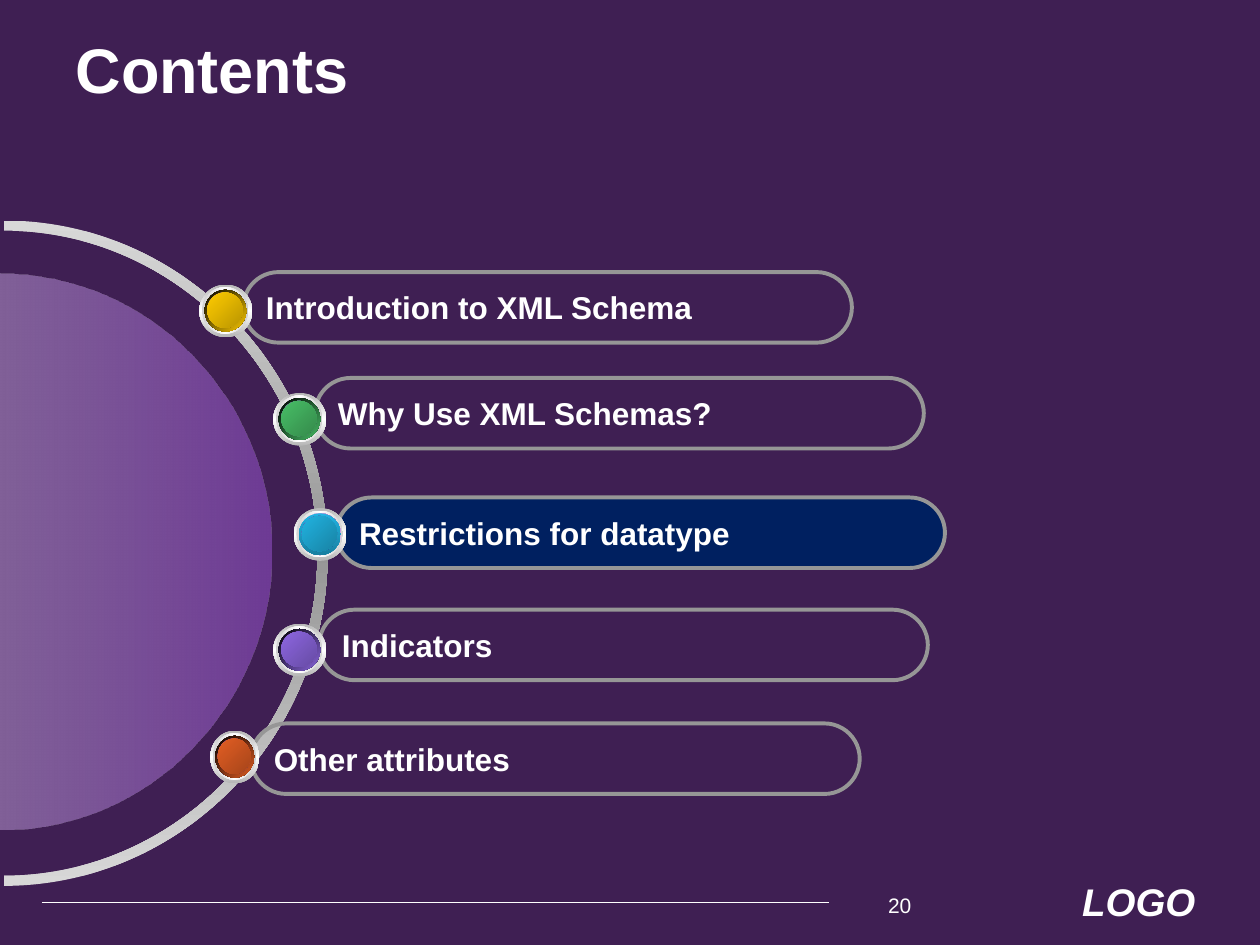
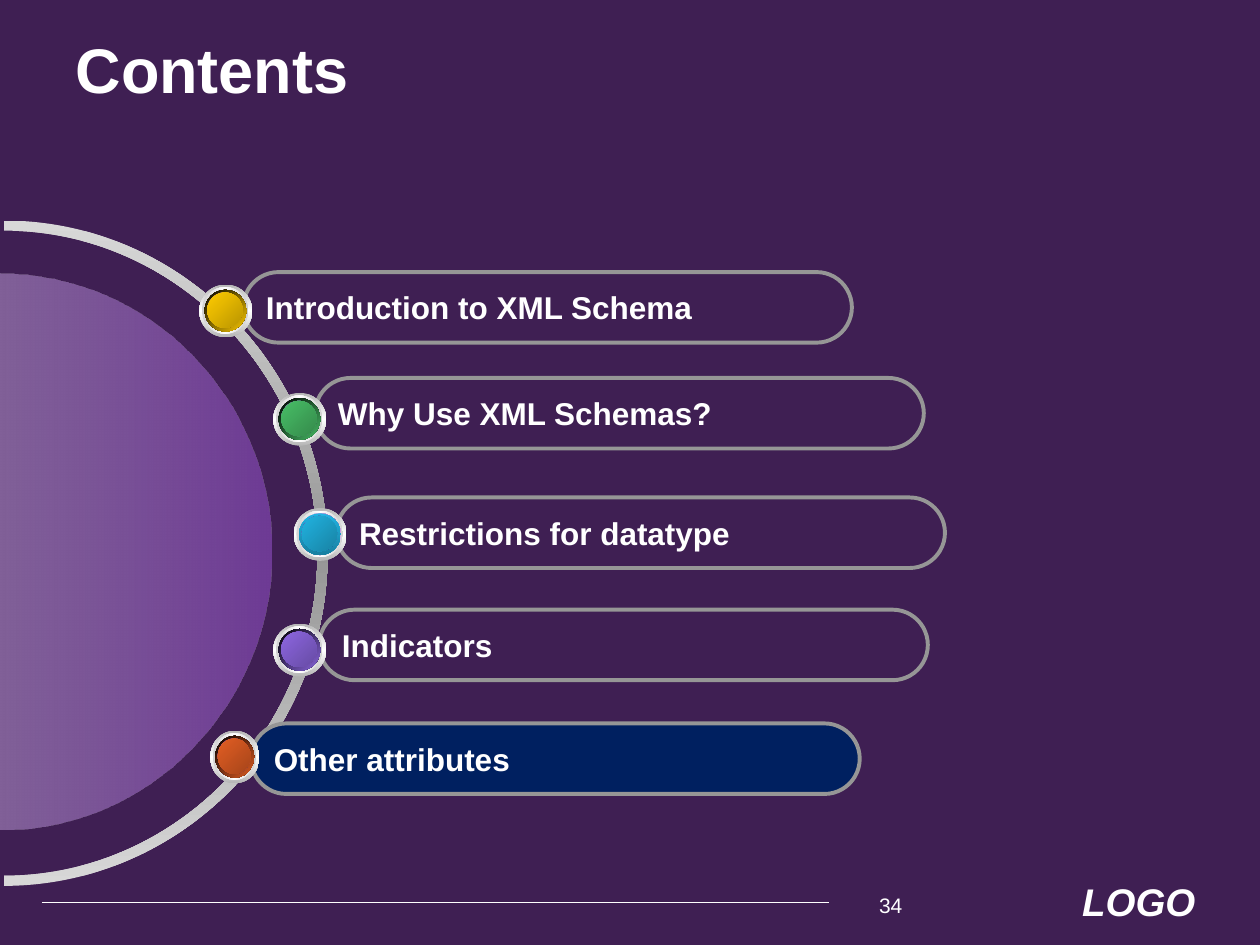
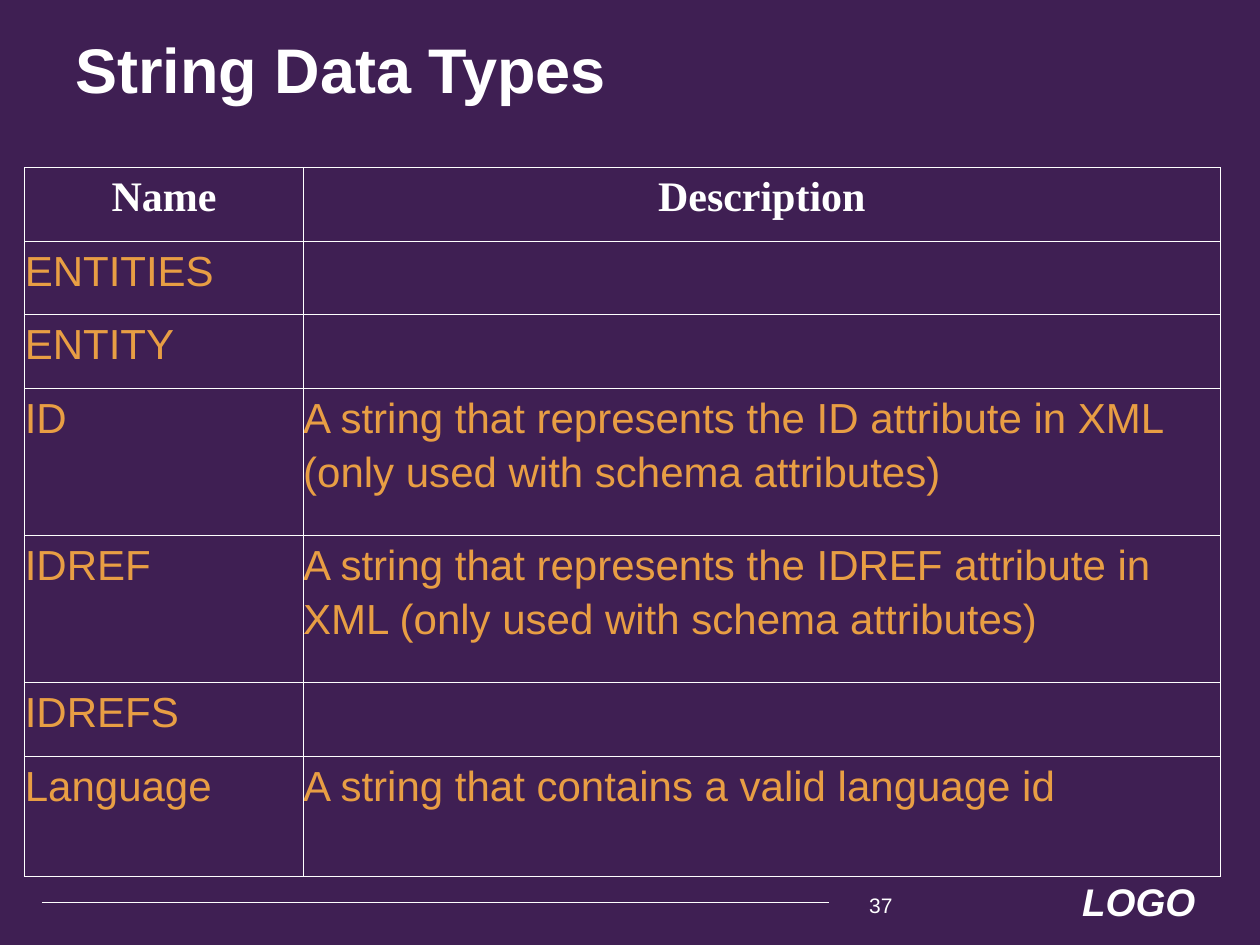
"""Build two agenda slides and a table of XML Schema string types."""
from dataclasses import dataclass
from typing import NamedTuple

from lxml import etree
from pptx import Presentation
from pptx.dml.color import RGBColor
from pptx.enum import shapes, text
from pptx.oxml import ns
from pptx.util import Pt

WHITE = RGBColor(0xFF, 0xFF, 0xFF)
BLACK = RGBColor(0x00, 0x00, 0x00)
BACKGROUND = RGBColor(0x3F, 0x1F, 0x53)
HIGHLIGHT = RGBColor(0x00, 0x20, 0x60)
GRAY = RGBColor(0x96, 0x96, 0x96)
LIGHT_GRAY = RGBColor(0xD8, 0xD8, 0xD8)
SILVER = RGBColor(0xB6, 0xB6, 0xB6)
PALE_SILVER = RGBColor(0xD1, 0xD1, 0xD1)
PURPLE = RGBColor(0x93, 0x51, 0xC9)
DARK_PURPLE = RGBColor(0x71, 0x3E, 0x9A)
ORANGE = RGBColor(0xE8, 0x9E, 0x44)
YELLOW = RGBColor(0xFF, 0xCC, 0x00)
DARK_YELLOW = RGBColor(0xBA, 0x95, 0x00)
GREEN = RGBColor(0x48, 0xBE, 0x67)
DARK_GREEN = RGBColor(0x35, 0x8B, 0x4B)
BLUE = RGBColor(0x21, 0xB3, 0xE1)
DARK_BLUE = RGBColor(0x18, 0x83, 0xA4)
RIM_BLUE = RGBColor(0x18, 0x80, 0xA1)
VIOLET = RGBColor(0x8D, 0x67, 0xE1)
DARK_VIOLET = RGBColor(0x67, 0x4B, 0xA4)
RUST = RGBColor(0xE3, 0x5E, 0x23)
DARK_RUST = RGBColor(0xA6, 0x45, 0x1A)

SANS = "Arial"
SERIF = "Times New Roman"
BAR_WIDTH, BAR_HEIGHT = 347.8, 40.3
BEAD_SIZE = 30.2
QUARTER_CURVE = 0.55


class Stop(NamedTuple):
    """One gradient stop, with position and opacity in percent."""

    position: int
    colour: RGBColor
    opacity: int = 100


class Box(NamedTuple):
    """A rectangle in points."""

    left: float
    top: float
    width: float
    height: float

    def emu(self) -> tuple:
        """Return the four lengths for python-pptx."""
        return tuple(Pt(value) for value in self)


class Segment(NamedTuple):
    """A path command and its points, in points."""

    command: str
    points: list[tuple[float, float]]


@dataclass(frozen=True)
class Topic:
    """An agenda line: its bar and the bead on the ring beside it."""

    label: str
    bar_left: float
    bar_top: float
    bead_left: float
    bead_top: float
    colour: RGBColor
    shade: RGBColor
    bead_width: float = BEAD_SIZE
    rim: tuple[RGBColor, RGBColor] | None = None


@dataclass(frozen=True)
class BeadLayer:
    """One ellipse of a bead, placed as fractions of the bead."""

    offset: float
    scale: float
    stops: list[Stop]
    angle: int


TOPICS = [
    Topic("Introduction to XML Schema", 139, 155.5, 113.9, 162.6, YELLOW, DARK_YELLOW),
    Topic("Why Use XML Schemas?", 180.1, 216, 156.2, 224.5, GREEN, DARK_GREEN),
    Topic("Restrictions for datatype", 192.2, 284.3, 167.9, 290.3, BLUE, DARK_BLUE,
          rim=(BLUE, RIM_BLUE)),
    Topic("Indicators", 182.4, 348.4, 156.2, 356.4, VIOLET, DARK_VIOLET),
    Topic("Other attributes", 143.5, 413.4, 120.2, 417.5, RUST, DARK_RUST, bead_width=28.1),
]

COLUMN_WIDTHS = [159.1, 524.2]
LINE_ROW, DOUBLE_ROW, LAST_ROW = 42.1, 84.1, 68.5
STRING_TYPES = [
    ("Name", "Description", LINE_ROW),
    ("ENTITIES", "", LINE_ROW),
    ("ENTITY", "", LINE_ROW),
    ("ID", "A string that represents the ID attribute in XML "
           "(only used with schema attributes)", DOUBLE_ROW),
    ("IDREF", "A string that represents the IDREF attribute in XML "
              "(only used with schema attributes)", DOUBLE_ROW),
    ("IDREFS", "", LINE_ROW),
    ("Language", "A string that contains a valid language id", LAST_ROW),
]


def write_text(frame, content: str, *, size: float, font: str = SANS,
               colour: RGBColor = WHITE, bold: bool = False, italic: bool = False,
               align=text.PP_ALIGN.LEFT, anchor=text.MSO_ANCHOR.TOP,
               spacing: float | None = None, wrap: bool = True) -> None:
    """Put one formatted paragraph in a text frame."""
    frame.word_wrap = wrap
    frame.vertical_anchor = anchor
    paragraph = frame.paragraphs[0]
    paragraph.alignment = align
    paragraph.line_spacing = spacing
    run = paragraph.add_run()
    run.text = content
    run.font.name = font
    run.font.size = Pt(size)
    run.font.bold = bold
    run.font.italic = italic
    run.font.color.rgb = colour


def add_text(slide, box: Box, content: str, **style) -> None:
    """Add a text box."""
    write_text(slide.shapes.add_textbox(*box.emu()).text_frame, content, **style)


def paint_gradient(shape, stops: list[Stop], angle: int) -> None:
    """Give a shape a linear gradient, turned clockwise, and no line."""
    shape.shadow.inherit = False
    shape.line.fill.background()
    shape.fill.gradient()
    shape.fill.gradient_angle = -angle % 360
    stop_list = shape._element.spPr.find(".//" + ns.qn("a:gsLst"))
    for child in list(stop_list):
        stop_list.remove(child)
    for stop in stops:
        entry = etree.SubElement(stop_list, ns.qn("a:gs"), pos=str(stop.position * 1000))
        colour = etree.SubElement(entry, ns.qn("a:srgbClr"), val=str(stop.colour))
        if stop.opacity < 100:
            etree.SubElement(colour, ns.qn("a:alpha"), val=str(stop.opacity * 1000))


def mirrored(edge: RGBColor, middle: RGBColor) -> list[Stop]:
    """Return stops that run from edge to middle and back."""
    return [Stop(0, edge), Stop(50, middle), Stop(100, edge)]


def blend(start: RGBColor, end: RGBColor) -> list[Stop]:
    """Return stops that run from start to end."""
    return [Stop(0, start), Stop(100, end)]


def arch(centre: float, base: float, radius_x: float, radius_y: float) -> list[Segment]:
    """Return two curves over the top of an ellipse, in the direction of radius_x."""
    pull_x, pull_y = radius_x * QUARTER_CURVE, radius_y * QUARTER_CURVE
    start, end, top = centre - radius_x, centre + radius_x, base - radius_y
    return [
        Segment("cubicBezTo", [(start, base - pull_y), (centre - pull_x, top), (centre, top)]),
        Segment("cubicBezTo", [(centre + pull_x, top), (end, base - pull_y), (end, base)]),
    ]


def add_outline(slide, box: Box, segments: list[Segment], stops: list[Stop],
                angle: int) -> None:
    """Add a curved freeform within a box that is turned a quarter clockwise."""
    left, top, width, height = box.emu()
    builder = slide.shapes.build_freeform(left, top)
    builder.add_line_segments([(left + width, top), (left + width, top + height)])
    outline = builder.convert_to_shape()
    outline.rotation = 90
    drawing = outline._element.spPr.find(".//" + ns.qn("a:path"))
    for child in list(drawing):
        drawing.remove(child)
    for segment in segments:
        command = etree.SubElement(drawing, ns.qn(f"a:{segment.command}"))
        for x, y in segment.points:
            etree.SubElement(command, ns.qn("a:pt"), x=str(Pt(x)), y=str(Pt(y)))
    etree.SubElement(drawing, ns.qn("a:close"))
    paint_gradient(outline, stops, angle)


def add_wheel(slide) -> None:
    """Draw the ring and the disc at the left edge."""
    centre, base, band = 190.1, 185, 5.8
    ring = [Segment("moveTo", [(0, base)]),
            *arch(centre, base, centre, base),
            Segment("lnTo", [(2 * centre - band, base)]),
            *arch(centre, base, band - centre, base - band)]
    add_outline(slide, Box(-190.8, 128.2, 380.2, 375.8), ring, mirrored(LIGHT_GRAY, GRAY), 0)
    centre, base = 158.8, 154.8
    disc = [Segment("moveTo", [(0, base)]), *arch(centre, base, centre, base)]
    add_outline(slide, Box(-158.4, 160.6, 317.6, 309.6), disc,
                [Stop(0, PURPLE, 56), Stop(100, WHITE, 48)], 90)


def add_bar(slide, topic: Topic, highlighted: bool) -> None:
    """Add the rounded bar of a topic."""
    box = Box(topic.bar_left, topic.bar_top, BAR_WIDTH, BAR_HEIGHT)
    bar = slide.shapes.add_shape(shapes.MSO_SHAPE.ROUNDED_RECTANGLE, *box.emu())
    bar.adjustments[0] = 0.5
    bar.shadow.inherit = False
    bar.line.color.rgb = GRAY
    bar.line.width = Pt(2.25)
    if highlighted:
        bar.fill.solid()
        bar.fill.fore_color.rgb = HIGHLIGHT
    else:
        bar.fill.background()
    write_text(bar.text_frame, topic.label, size=18, bold=True,
               anchor=text.MSO_ANCHOR.MIDDLE, wrap=False)


def add_bead(slide, topic: Topic) -> None:
    """Add the group of stacked ellipses that forms a bead."""
    rim = blend(*(topic.rim or (BLACK, topic.colour)))
    layers = [
        BeadLayer(0, 1, mirrored(SILVER, WHITE), 90),
        BeadLayer(0.05, 0.88, mirrored(PALE_SILVER, WHITE), 0),
        BeadLayer(0.1, 0.79, mirrored(WHITE, PURPLE), 45),
        BeadLayer(0.1, 0.79, rim, 90 if topic.rim else 45),
        BeadLayer(0.15, 0.67, mirrored(DARK_PURPLE, PURPLE), 315),
        BeadLayer(0.15, 0.67, blend(topic.colour, topic.shade), 45),
    ]
    group = slide.shapes.add_group_shape()
    for layer in layers:
        box = Box(topic.bead_left + layer.offset * topic.bead_width,
                  topic.bead_top + layer.offset * BEAD_SIZE,
                  layer.scale * topic.bead_width, layer.scale * BEAD_SIZE)
        ellipse = group.shapes.add_shape(shapes.MSO_SHAPE.OVAL, *box.emu())
        paint_gradient(ellipse, layer.stops, layer.angle)


def add_base_slide(presentation, title: str, number: str, number_left: float):
    """Add a slide with its title, footer line, logo word and number."""
    slide = presentation.slides.add_slide(presentation.slide_layouts[6])
    add_text(slide, Box(581.4, 498.2, 108.7, 33.8), "LOGO", size=22, bold=True,
             italic=True, align=text.PP_ALIGN.RIGHT)
    rule = slide.shapes.add_connector(shapes.MSO_CONNECTOR.STRAIGHT,
                                      Pt(24), Pt(515.9), Pt(474), Pt(515.9))
    rule.line.color.rgb = WHITE
    rule.line.width = Pt(0.5)
    etree.SubElement(rule._element.spPr, ns.qn("a:effectLst"))
    add_text(slide, Box(36.1, 21, 573, 36), title, size=36, bold=True,
             anchor=text.MSO_ANCHOR.MIDDLE)
    add_text(slide, Box(number_left, 506.2, 102.2, 19.4), number, size=12)
    return slide


def add_contents_slide(presentation, current: str, number: str, number_left: float) -> None:
    """Add an agenda slide with the current topic highlighted."""
    slide = add_base_slide(presentation, "Contents", number, number_left)
    add_wheel(slide)
    for topic in reversed(TOPICS):
        add_bar(slide, topic, topic.label == current)
    for topic in TOPICS:
        add_bead(slide, topic)


def format_cell(cell) -> None:
    """Give a cell thin white borders, no fill and no margins."""
    cell.margin_left = cell.margin_right = cell.margin_top = cell.margin_bottom = 0
    properties = cell._tc.get_or_add_tcPr()
    for side in "LRTB":
        border = etree.SubElement(properties, ns.qn(f"a:ln{side}"), w=str(Pt(0.5)))
        fill = etree.SubElement(border, ns.qn("a:solidFill"))
        etree.SubElement(fill, ns.qn("a:srgbClr"), val=str(WHITE))
    cell.fill.background()


def add_types_slide(presentation) -> None:
    """Add the slide with the table of string types."""
    slide = add_base_slide(presentation, "String Data Types", "37", 489.6)
    box = Box(14.2, 95.7, sum(COLUMN_WIDTHS), sum(row[-1] for row in STRING_TYPES))
    table = slide.shapes.add_table(len(STRING_TYPES), len(COLUMN_WIDTHS), *box.emu()).table
    table.first_row = table.horz_banding = False
    for column, width in zip(table.columns, COLUMN_WIDTHS):
        column.width = Pt(width)
    header = dict(font=SERIF, bold=True, align=text.PP_ALIGN.CENTER)
    body = dict(colour=ORANGE)
    for index, (*contents, height) in enumerate(STRING_TYPES):
        table.rows[index].height = Pt(height)
        for cell, content in zip(table.rows[index].cells, contents):
            format_cell(cell)
            if content:
                write_text(cell.text_frame, content, size=24, spacing=1.15,
                           **(body if index else header))


def main() -> None:
    """Build and save the presentation."""
    presentation = Presentation()
    presentation.slide_width, presentation.slide_height = Pt(720), Pt(540)
    background = presentation.slide_master.background.fill
    background.solid()
    background.fore_color.rgb = BACKGROUND
    add_contents_slide(presentation, "Restrictions for datatype", "20", 500.4)
    add_contents_slide(presentation, "Other attributes", "34", 495.2)
    add_types_slide(presentation)
    presentation.save("out.pptx")


if __name__ == "__main__":
    main()
